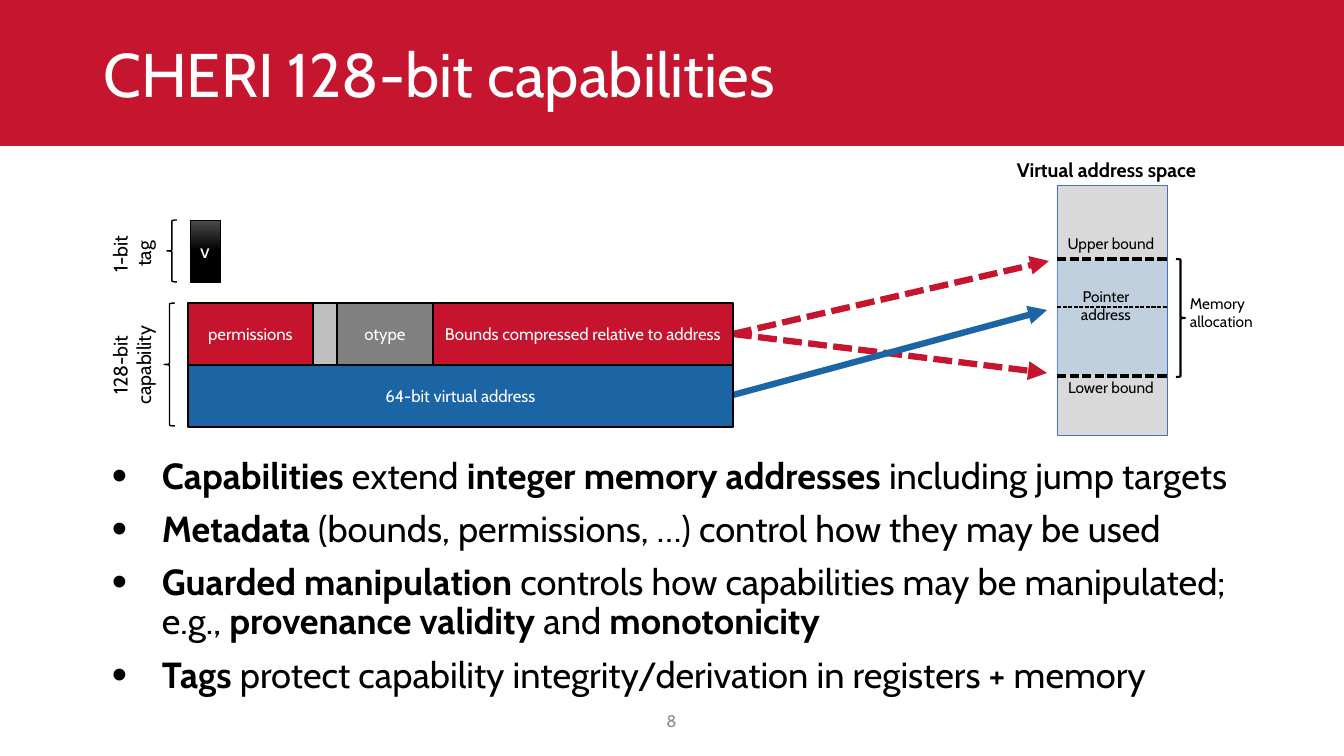
"""Build the slide on CHERI 128-bit capabilities."""
from lxml import etree
from pptx import Presentation
from pptx.dml.color import RGBColor
from pptx.enum.dml import MSO_LINE
from pptx.enum.shapes import MSO_CONNECTOR, MSO_SHAPE
from pptx.enum.text import MSO_ANCHOR, MSO_AUTO_SIZE, PP_ALIGN
from pptx.oxml.ns import qn
from pptx.util import Pt

PX = 9071
FONT = "Cabin"
RECTANGLE, BRACE = MSO_SHAPE.RECTANGLE, MSO_SHAPE.RIGHT_BRACE
LEFT, CENTER = PP_ALIGN.LEFT, PP_ALIGN.CENTER
TOP, MIDDLE, BOTTOM = MSO_ANCHOR.TOP, MSO_ANCHOR.MIDDLE, MSO_ANCHOR.BOTTOM
DASHED = MSO_LINE.SQUARE_DOT

BLACK = RGBColor(0x00, 0x00, 0x00)
WHITE = RGBColor(0xFF, 0xFF, 0xFF)
BANNER_RED = RGBColor(0xC5, 0x15, 0x2F)
FIELD_RED = RGBColor(0xC6, 0x14, 0x2E)
BLUE = RGBColor(0x1C, 0x65, 0xA5)
OUTLINE_BLUE = RGBColor(0x44, 0x72, 0xC4)
PALE_BLUE = RGBColor(0x9D, 0xC3, 0xE6)
PALE_GRAY = RGBColor(0xD9, 0xD9, 0xD9)
LIGHT_GRAY = RGBColor(0xBF, 0xBF, 0xBF)
MID_GRAY = RGBColor(0x80, 0x80, 0x80)
PAGE_GRAY = RGBColor(0x8C, 0x8C, 0x8C)
TAG_GRAY = RGBColor(0x4B, 0x4B, 0x4B)

deck = Presentation()
deck.slide_width, deck.slide_height = 1344 * PX, 756 * PX
slide = deck.slides.add_slide(deck.slide_layouts[5])
shapes = slide.shapes


def add_block(frame, fill=None, line=None, width=1, kind=RECTANGLE):
    """Add a preset shape with the given fill and outline."""
    block = shapes.add_shape(kind, *[n * PX for n in frame])
    block.shadow.inherit = False
    if fill is None:
        block.fill.background()
    else:
        block.fill.solid()
        block.fill.fore_color.rgb = fill
    if line is None:
        block.line.fill.background()
    else:
        block.line.color.rgb = line
        block.line.width = Pt(width)
    return block


def write(box, paras, size, color, align=CENTER, anchor=MIDDLE):
    """Write paragraphs, each a list of (text, bold) spans, into a shape."""
    frame = box.text_frame
    frame.word_wrap = True
    frame.auto_size = MSO_AUTO_SIZE.NONE
    frame.vertical_anchor = anchor
    for index, spans in enumerate(paras):
        para = frame.add_paragraph() if index else frame.paragraphs[0]
        para.alignment = align
        for text, bold in spans:
            span = para.add_run()
            span.text = text
            span.font.name = FONT
            span.font.size = Pt(size)
            span.font.bold = bold
            span.font.color.rgb = color
    return frame.paragraphs


banner = add_block((0, 0, 1344, 146), BANNER_RED)
shapes.element.insert(2, banner.element)
title = shapes.title
title.left, title.top, title.width, title.height = [n * PX for n in (93, 36, 1159, 84)]
write(title, [[("CHERI 128-bit capabilities", False)]], 44, WHITE, LEFT)[0].line_spacing = 0.9

points = [
    [("Capabilities ", True), ("extend ", False), ("integer memory addresses ", True),
     ("including jump targets", False)],
    [("Metadata ", True), ("(bounds, permissions, …) control how they may be used", False)],
    [("Guarded manipulation ", True),
     ("controls how capabilities may be manipulated; e.g., ", False),
     ("provenance validity ", True), ("and ", False), ("monotonicity", True)],
    [("Tags ", True),
     ("protect capability integrity/derivation in registers + memory", False)],
]
body = shapes.add_textbox(102 * PX, 453 * PX, 1169 * PX, 263 * PX)
for index, para in enumerate(write(body, points, 25.9, BLACK, LEFT, TOP)):
    para.line_spacing = 0.9
    para.space_before = Pt(10 if index else 0)
    properties = para._p.get_or_add_pPr()
    properties.set("marL", str(50 * PX))
    properties.set("indent", str(-50 * PX))
    bullet_color = etree.SubElement(properties, qn("a:buClr"))
    etree.SubElement(bullet_color, qn("a:srgbClr"), val=str(BLACK))
    etree.SubElement(properties, qn("a:buSzPct"), val="120000")
    etree.SubElement(properties, qn("a:buFont"), typeface="Arial")
    etree.SubElement(properties, qn("a:buChar"), char="•")

add_block((1057, 185, 110, 250), PALE_GRAY, OUTLINE_BLUE, 0.25)
allocation = add_block((1057, 259, 110, 116), PALE_BLUE)
allocation_color = allocation.element.spPr.find(qn("a:solidFill"))[0]
etree.SubElement(allocation_color, qn("a:alpha"), val="40000")

lines = [
    ((733, 334, 1049, 261), BANNER_RED, 4.5, True, True),
    ((733, 334, 1047, 373), BANNER_RED, 4.5, True, True),
    ((733, 395, 1047, 310), BLUE, 4.5, False, True),
    ((1057, 307, 1167, 307), BLACK, 1, True, False),
    ((1057, 259, 1167, 259), BLACK, 2.25, True, False),
    ((1057, 376, 1167, 376), BLACK, 2.25, True, False),
]
for ends, color, width, dashed, arrow in lines:
    line = shapes.add_connector(MSO_CONNECTOR.STRAIGHT, *[n * PX for n in ends])
    line.line.color.rgb = color
    line.line.width = Pt(width)
    if dashed:
        line.line.dash_style = DASHED
    if arrow:
        etree.SubElement(line.line._get_or_add_ln(), qn("a:tailEnd"), type="triangle")
    etree.SubElement(line.element.spPr, qn("a:effectLst"))

braces = [
    ((164, 303, 11, 123), 1, True),
    ((167, 220, 10, 62), 1, True),
    ((1176, 259, 9, 118), 1.5, False),
]
for frame, width, flipped in braces:
    brace = add_block(frame, None, BLACK, width, BRACE)
    if flipped:
        brace.element.spPr.find(qn("a:xfrm")).set("flipH", "1")

fields = [
    ((313, 303, 24, 62), LIGHT_GRAY, ""),
    ((188, 303, 125, 62), FIELD_RED, "permissions"),
    ((433, 303, 300, 62), FIELD_RED, "Bounds compressed relative to address"),
    ((337, 303, 96, 62), MID_GRAY, "otype"),
    ((188, 365, 545, 62), BLUE, "64-bit virtual address"),
]
for frame, fill, name in fields:
    field = add_block(frame, fill, BLACK)
    if name:
        write(field, [[(name, False)]], 12, WHITE)

tag = add_block((190, 220, 30, 62), BLACK, BLACK, 0.5)
tag.fill.gradient()
tag.fill.gradient_angle = 270
for stop, color, position in zip(tag.fill.gradient_stops, (TAG_GRAY, BLACK), (0, 0.5)):
    stop.color.rgb = color
    stop.position = position
write(tag, [[("v", False)]], 14, WHITE)

labels = [
    ((973, 150, 267, 36), ["Virtual address space"], 14, BLACK, True, CENTER, BOTTOM, 0),
    ((28, 335, 210, 60), ["128-bit", "capability"], 14, BLACK, False, CENTER, TOP, 270),
    ((49, 224, 168, 60), ["1-bit", "tag"], 14, BLACK, False, CENTER, TOP, 270),
    ((1056, 229, 110, 29), ["Upper bound"], 11, BLACK, False, CENTER, TOP, 0),
    ((1056, 373, 110, 29), ["Lower bound"], 11, BLACK, False, CENTER, TOP, 0),
    ((1051, 282, 110, 47), ["Pointer address"], 11, BLACK, False, CENTER, TOP, 0),
    ((1180, 289, 90, 47), ["Memory allocation"], 11, BLACK, False, LEFT, TOP, 0),
    ((602, 701, 139, 40), ["8"], 12, PAGE_GRAY, False, CENTER, MIDDLE, 0),
]
for frame, texts, size, color, bold, align, anchor, rotation in labels:
    label = shapes.add_textbox(*[n * PX for n in frame])
    label.rotation = rotation
    write(label, [[(text, bold)] for text in texts], size, color, align, anchor)

deck.save("out.pptx")
